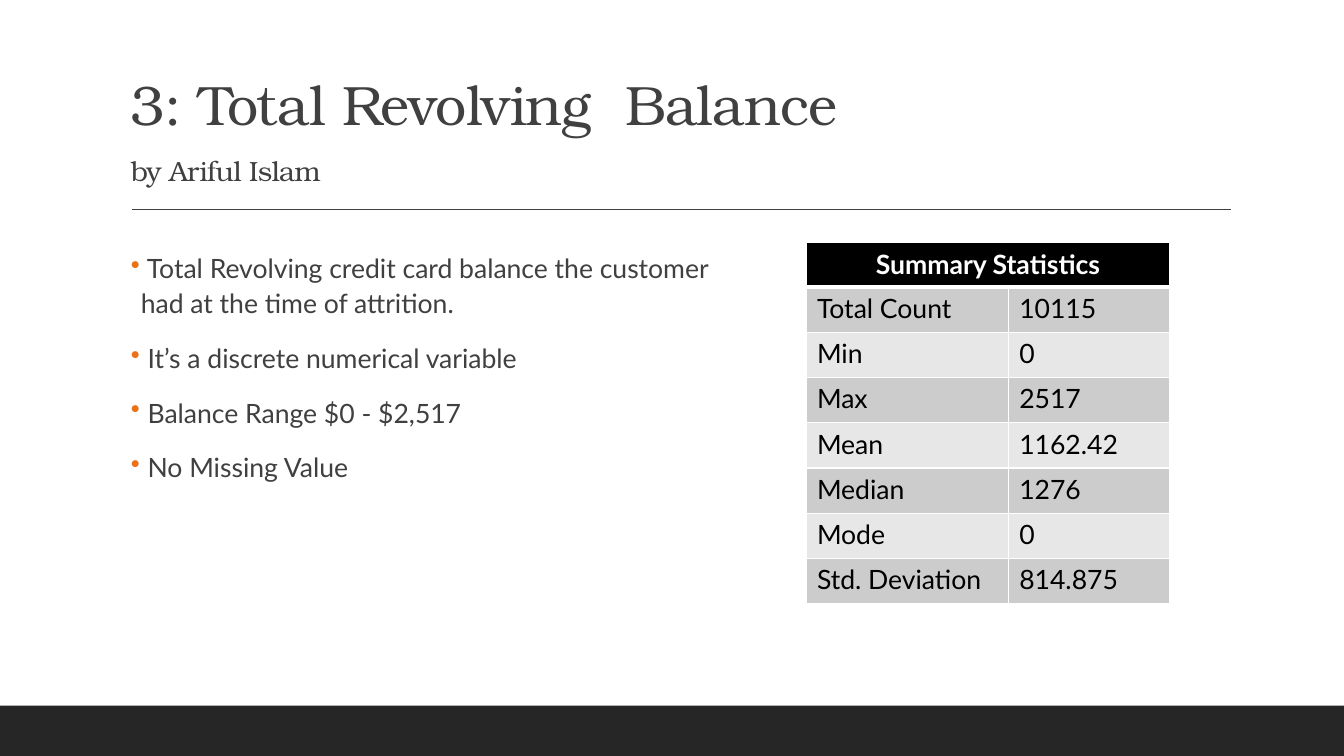
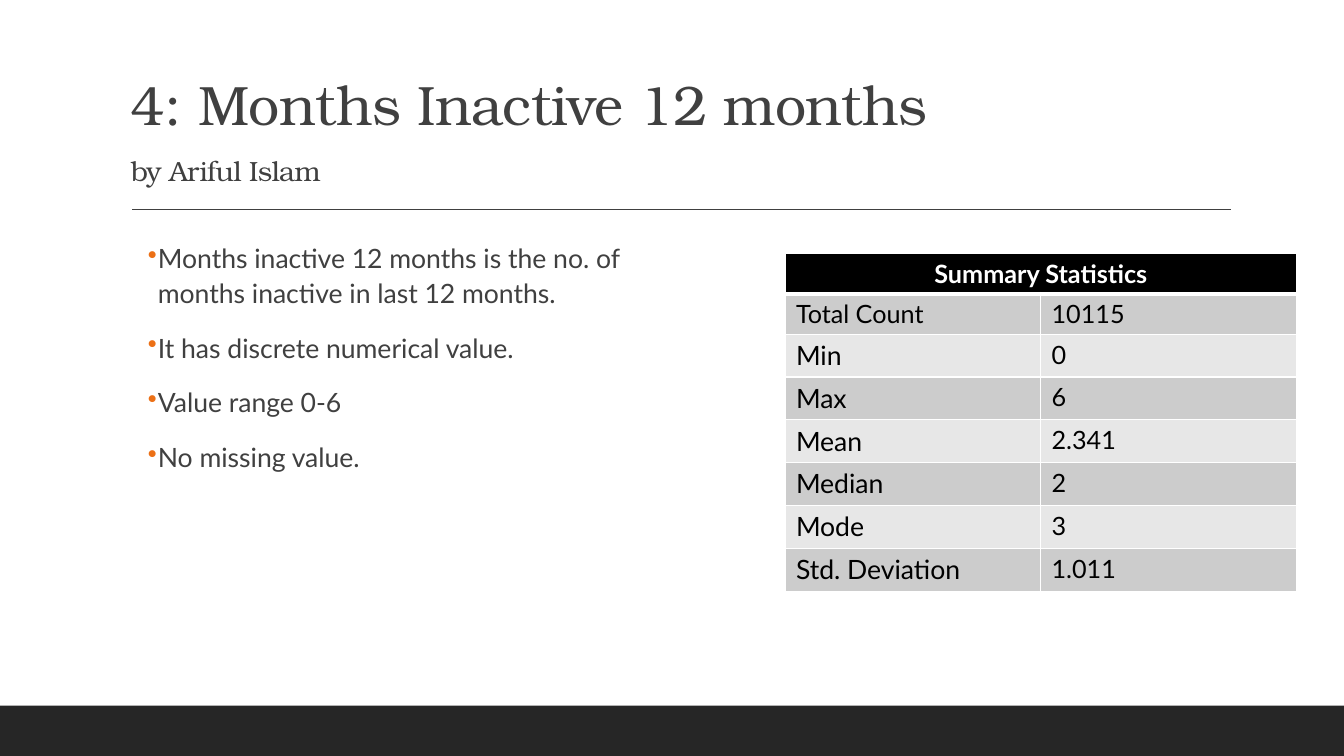
from dataclasses import dataclass

from lxml.etree import SubElement
from pptx import Presentation
from pptx.dml.color import RGBColor
from pptx.enum.shapes import MSO_CONNECTOR, MSO_SHAPE
from pptx.enum.text import MSO_ANCHOR, PP_ALIGN
from pptx.oxml.ns import qn
from pptx.util import Cm, Pt


@dataclass(frozen=True)
class Theme:
    title_font: str = "TeX Gyre Bonum"
    body_font: str = "Lato"
    text: str = "404040"
    band: str = "262626"
    bullet: str = "EC7016"
    header: str = "000000"
    cell_text: str = "000000"
    white: str = "FFFFFF"
    stripes: tuple = ("E7E7E7", "CCCCCC")
    title_size: float = 39.6
    byline_size: float = 19.8
    body_size: float = 19
    small_size: float = 18


THEME = Theme()
SLIDE_W, SLIDE_H, BAND_H = 33.87, 19.05, 1.27


def apply(obj, values):
    for name, value in values.items():
        setattr(obj, name, value)


def paint(fill, color):
    fill.solid()
    fill.fore_color.rgb = RGBColor.from_string(color)


def add_run(p, text, font, size, color, bold=False):
    r = p.add_run()
    r.text = text
    apply(r.font, {"name": font, "size": Pt(size), "bold": bold})
    r.font.color.rgb = RGBColor.from_string(color)
    return r


def add_text_box(s, box, **frame):
    tf = s.shapes.add_textbox(*map(Cm, box)).text_frame
    apply(tf, {"word_wrap": True, **frame})
    return tf


def add_frame(s):
    """Draw the bottom band and the rule under the title."""
    sp = s.shapes.add_shape(MSO_SHAPE.RECTANGLE, 0, Cm(SLIDE_H - BAND_H),
                            Cm(SLIDE_W), Cm(BAND_H))
    sp.shadow.inherit = False
    paint(sp.fill, THEME.band)
    sp.line.fill.background()

    rule = s.shapes.add_connector(MSO_CONNECTOR.STRAIGHT, Cm(3.33), Cm(5.28),
                                  Cm(31.01), Cm(5.28))
    rule.line.width = Pt(1)
    paint(rule.line.fill, THEME.text)
    SubElement(rule._element.spPr, qn("a:effectLst"))


def add_title(s, title, byline):
    tf = add_text_box(s, (3.05, 0.79, 27.94, 4.04),
                      vertical_anchor=MSO_ANCHOR.BOTTOM)
    p = tf.paragraphs[0]
    p.line_spacing = 1.5
    runs = [add_run(p, title, THEME.title_font, THEME.title_size, THEME.text)]
    p.add_line_break()
    runs.append(add_run(p, byline, THEME.title_font, THEME.byline_size, THEME.text))
    for r in runs:
        r.font._element.set("spc", "-50")


def add_bullet(p):
    pPr = p._p.get_or_add_pPr()
    pPr.set("marL", str(Cm(0.25)))
    pPr.set("indent", str(Cm(-0.25)))
    color = SubElement(pPr, qn("a:buClr"))
    SubElement(color, qn("a:srgbClr"), val=THEME.bullet)
    SubElement(pPr, qn("a:buChar"), char="•")


def add_bullets(s, box, items):
    tf = add_text_box(s, box, margin_left=0, margin_right=0)
    for i, item in enumerate(items):
        p = tf.add_paragraph() if i else tf.paragraphs[0]
        add_bullet(p)
        apply(p, {"line_spacing": 1.1, "space_before": Pt(12 if i else 0),
                  "space_after": Pt(2)})
        add_run(p, item, THEME.body_font, THEME.body_size, THEME.text)


def add_borders(cell, top, bottom):
    tcPr = cell._tc.get_or_add_tcPr()
    for side, width in (("L", 1), ("R", 1), ("T", top), ("B", bottom)):
        ln = SubElement(tcPr, qn(f"a:ln{side}"), w=str(Pt(width)))
        fill = SubElement(ln, qn("a:solidFill"))
        SubElement(fill, qn("a:srgbClr"), val=THEME.white)


def add_stats_table(s, left, top, widths, heights, stats, size):
    """Draw a merged header over label and value rows."""
    rows = [("Summary Statistics", ""), *stats]
    table = s.shapes.add_table(len(rows), 2, Cm(left), Cm(top), Cm(sum(widths)),
                               Cm(sum(heights))).table
    for column, width in zip(table.columns, widths):
        column.width = Cm(width)
    for row, height in zip(table.rows, heights):
        row.height = Cm(height)
    table.cell(0, 0).merge(table.cell(0, 1))

    for i, texts in enumerate(rows):
        is_header = i == 0
        for j, text in enumerate(texts):
            cell = table.cell(i, j)
            apply(cell, {"margin_left": Cm(0.27), "margin_right": Cm(0.27)})
            add_borders(cell, 3 if i == 1 else 1, 3 if is_header else 1)
            paint(cell.fill, THEME.header if is_header else THEME.stripes[i % 2])
            if not text:
                continue
            p = cell.text_frame.paragraphs[0]
            if is_header:
                cell.vertical_anchor = MSO_ANCHOR.MIDDLE
                p.alignment = PP_ALIGN.CENTER
            is_large_label = i > 1 and j == 0
            add_run(p, text, THEME.body_font,
                    THEME.body_size if is_large_label else size,
                    THEME.white if is_header else THEME.cell_text, is_header)


STAT_NAMES = ("Total Count", "Min", "Max", "Mean", "Median", "Mode", "Std. Deviation")

SLIDES = [
    {
        "title": "3: Total Revolving  Balance",
        "body": (3.3, 6.15, 15.24, 10.16),
        "bullets": [
            " Total Revolving credit card balance the customer had at the time of attrition.",
            " It’s a discrete numerical variable",
            " Balance Range $0 - $2,517",
            " No Missing Value",
        ],
        "table": {"left": 20.32, "top": 6.1, "widths": (5.1, 4.06),
                  "heights": [1.14] * 8, "size": THEME.body_size},
        "values": ("10115", "0", "2517", "1162.42", "1276", "0", "814.875"),
    },
    {
        "title": "4: Months Inactive 12 months",
        "body": (3.73, 5.89, 12.88, 10.41),
        "bullets": [
            "Months inactive 12 months is the no. of months inactive in last 12 months.",
            "It has discrete numerical value.",
            "Value range 0-6",
            "No missing value.",
        ],
        "table": {"left": 19.79, "top": 6.38, "widths": (6.44, 6.44),
                  "heights": [1.02] * 2 + [1.08] * 6, "size": THEME.small_size},
        "values": ("10115", "0", "6", "2.341", "2", "3", "1.011"),
    },
]


def main():
    prs = Presentation()
    apply(prs, {"slide_width": Cm(SLIDE_W), "slide_height": Cm(SLIDE_H)})
    for content in SLIDES:
        s = prs.slides.add_slide(prs.slide_layouts[6])
        add_frame(s)
        add_title(s, content["title"], "by Ariful Islam")
        add_bullets(s, content["body"], content["bullets"])
        add_stats_table(s, stats=zip(STAT_NAMES, content["values"]), **content["table"])
    prs.save("out.pptx")


if __name__ == "__main__":
    main()
